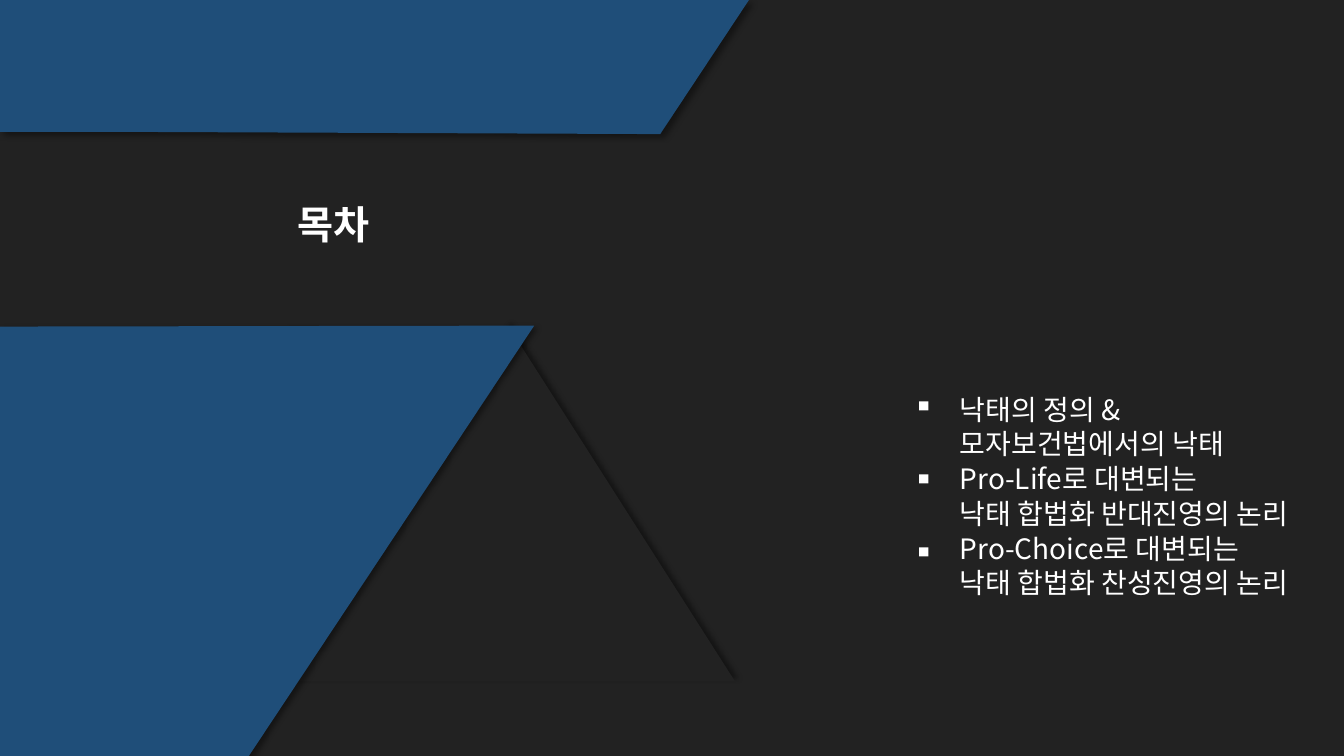
from dataclasses import dataclass

from lxml.etree import SubElement
from pptx import Presentation
from pptx.dml.color import RGBColor
from pptx.enum.shapes import MSO_SHAPE
from pptx.enum.text import MSO_ANCHOR, PP_ALIGN
from pptx.oxml.ns import qn
from pptx.util import Pt

FONT = "Noto Sans CJK KR"
DARK, BLUE, WHITE, BLACK = "222222", "1F4E79", "FFFFFF", "000000"
MARKER_LEFT, MARKER_TOP, MARKER_PITCH, MARKER_SIZE = 656.6, 286.6, 52.2, 6.5


@dataclass
class Panel:
    """A blue panel, given by its corners in points."""
    corners: list[tuple[float, float]]
    shadow_angle: int = 45


@dataclass
class TextArea:
    """Place and format of a placeholder, in points."""
    left: float
    top: float
    width: float
    height: float
    frame: dict
    paragraph: dict
    font: dict


PANELS = [
    Panel([(0, 0), (535, 0), (471.6, 95.8), (111.6, 94.3), (0, 94.3)]),
    Panel([(0, 233.3), (381.6, 232.6), (177.8, 540), (0, 540)]),
]
NO_INSETS = {f"margin_{side}": 0 for side in ("left", "top", "right", "bottom")}
TITLE = TextArea(
    203, 139.3, 70, 41,
    {**NO_INSETS, "word_wrap": False, "vertical_anchor": MSO_ANCHOR.MIDDLE},
    {"alignment": PP_ALIGN.CENTER},
    {"size": Pt(28), "bold": True},
)
CONTENTS = TextArea(
    685.5, 280, 270, 150,
    {**NO_INSETS, "word_wrap": True, "vertical_anchor": MSO_ANCHOR.TOP},
    {"alignment": PP_ALIGN.LEFT, "line_spacing": Pt(24.3),
     "space_before": Pt(0), "space_after": Pt(1.1)},
    {"size": Pt(20), "bold": False},
)
ITEMS = [
    ("낙태의 정의 &", "모자보건법에서의 낙태"),
    ("Pro-Life로 대변되는", "낙태 합법화 반대진영의 논리"),
    ("Pro-Choice로 대변되는", "낙태 합법화 찬성진영의 논리"),
]


def rgb(color: str) -> RGBColor:
    """Turn a hex string into a colour."""
    return RGBColor.from_string(color)


def set_all(obj, values: dict) -> None:
    """Set every attribute named in values."""
    for name, value in values.items():
        setattr(obj, name, value)


def paint(sp, color: str) -> None:
    """Give a shape a plain fill, no line and no shadow."""
    sp.fill.solid()
    sp.fill.fore_color.rgb = rgb(color)
    sp.line.fill.background()
    sp.shadow.inherit = False


def add_shadow(sp, angle: int) -> None:
    """Add a soft shadow that falls at an angle in degrees."""
    effects = sp._element.spPr.find(qn("a:effectLst"))
    shadow = SubElement(effects, qn("a:outerShdw"), {
        "blurRad": str(Pt(4)), "dist": str(Pt(3)),
        "dir": str(angle * 60000), "algn": "ctr", "rotWithShape": "0"})
    shade = SubElement(shadow, qn("a:srgbClr"), val=BLACK)
    SubElement(shade, qn("a:alpha"), val="40000")


def draw_panel(slide, panel: Panel) -> None:
    """Draw one panel as a closed outline."""
    points = [(Pt(x), Pt(y)) for x, y in panel.corners]
    builder = slide.shapes.build_freeform(*points[0])
    builder.add_line_segments(points[1:], close=True)
    sp = builder.convert_to_shape()
    paint(sp, BLUE)
    add_shadow(sp, panel.shadow_angle)


def draw_marker(slide, row: int) -> None:
    """Draw the square marker of one contents item."""
    sp = slide.shapes.add_shape(
        MSO_SHAPE.RECTANGLE, Pt(MARKER_LEFT), Pt(MARKER_TOP + row * MARKER_PITCH),
        Pt(MARKER_SIZE), Pt(MARKER_SIZE))
    paint(sp, WHITE)


def add_text(p, text: str, font: dict) -> None:
    """Add a run without pair kerning, in the slide's font."""
    r = p.add_run()
    r.text = text
    set_all(r.font, {**font, "name": FONT})
    r.font.color.rgb = rgb(WHITE)
    rPr = r._r.get_or_add_rPr()
    rPr.set("kern", "0")
    SubElement(rPr, qn("a:ea"), typeface=FONT)


def write_text(sp, area: TextArea, items: list[tuple[str, ...]]) -> None:
    """Place a placeholder and write one paragraph per item."""
    set_all(sp, {name: Pt(getattr(area, name))
                 for name in ("left", "top", "width", "height")})
    tf = sp.text_frame
    set_all(tf, area.frame)
    for i, lines in enumerate(items):
        p = tf.add_paragraph() if i else tf.paragraphs[0]
        set_all(p, area.paragraph)
        pPr = p._p.get_or_add_pPr()
        pPr.set("marL", "0")
        pPr.set("indent", "0")
        SubElement(pPr, qn("a:buNone"))
        for j, line in enumerate(lines):
            if j:
                p.add_line_break()
            add_text(p, line, area.font)


def main() -> None:
    """Build the contents slide."""
    prs = Presentation()
    prs.slide_width, prs.slide_height = Pt(960), Pt(540)
    slide = prs.slides.add_slide(prs.slide_layouts[1])
    slide.background.fill.solid()
    slide.background.fill.fore_color.rgb = rgb(DARK)

    triangle = slide.shapes.add_shape(
        MSO_SHAPE.ISOSCELES_TRIANGLE, Pt(201), Pt(232.6), Pt(324), Pt(254))
    paint(triangle, DARK)
    add_shadow(triangle, 315)
    for panel in PANELS:
        draw_panel(slide, panel)

    write_text(slide.shapes.title, TITLE, [("목차",)])
    write_text(slide.placeholders[1], CONTENTS, ITEMS)
    for row in range(len(ITEMS)):
        draw_marker(slide, row)
    prs.save("out.pptx")


main()
